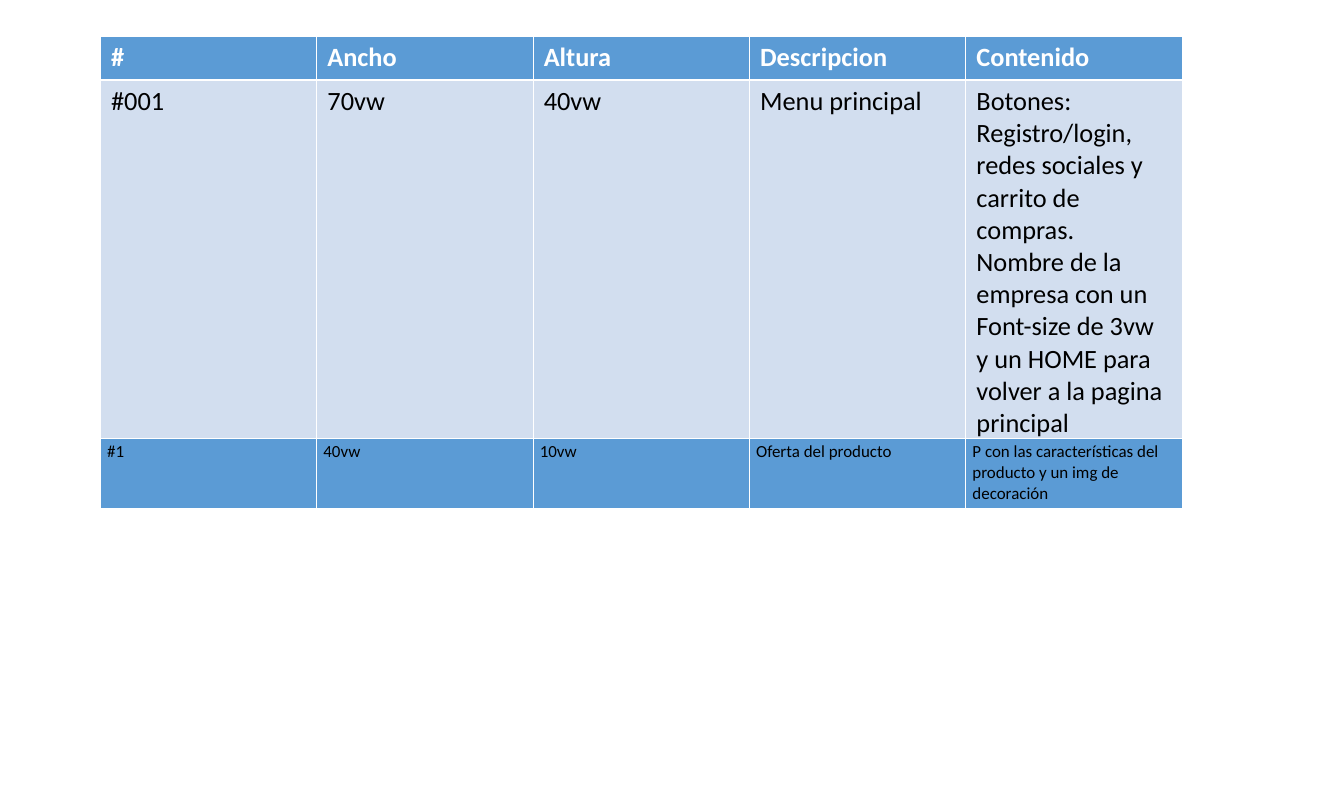
from lxml.etree import SubElement as Sub
from pptx import Presentation
from pptx.dml.color import RGBColor as Rgb
from pptx.oxml.ns import qn
from pptx.util import Pt

COLORS = {"blue": "5B9BD5", "pale": "D2DEEF", "white": "FFFFFF", "black": "000000"}
HEAD = ["#", "Ancho", "Altura", "Descripcion", "Contenido"]
MENU = [
    "#001", "70vw", "40vw", "Menu principal",
    "Botones: Registro/login, redes sociales y carrito de compras.\n"
    "Nombre de la empresa con un Font-size de 3vw y un HOME para volver a la pagina principal",
]
OFFER = [
    "#1", "40vw", "10vw", "Oferta del producto",
    "P con las características del producto y un img de decoración",
]


def write(frame, text, size=28, color="black", bold=False):
    """Put text in a frame, one paragraph per line."""
    frame.text = text
    for para in frame.paragraphs:
        for run in para.runs:
            font = run.font
            font.name, font.size, font.bold = "Calibri", Pt(size), bold
            font.color.rgb = Rgb.from_string(COLORS[color])


def edge(cell, top, bottom):
    """Draw white borders around a cell, widths in points."""
    props = cell._tc.get_or_add_tcPr()
    sides = {"L": 1, "R": 1, "T": top, "B": bottom}
    for spot, (side, width) in enumerate(sides.items()):
        line = Sub(props, qn(f"a:ln{side}"), w=str(Pt(width)))
        fill = Sub(line, qn("a:solidFill"))
        Sub(fill, qn("a:srgbClr"), val=COLORS["white"])
        props.insert(spot, line)


def fill_row(table, row, texts, fill, pad, top=1, bottom=1, **style):
    """Fill one table row with formatted cells."""
    for cell, text in zip(table.rows[row].cells, texts):
        cell.fill.solid()
        cell.fill.fore_color.rgb = Rgb.from_string(COLORS[fill])
        cell.margin_left = cell.margin_right = Pt(pad)
        cell.margin_top = cell.margin_bottom = Pt(pad / 2)
        edge(cell, top, bottom)
        write(cell.text_frame, text, **style)


def grid(slide, left, top, width, heights, head):
    """Add a table with equal columns and the given row heights."""
    shape = slide.shapes.add_table(
        len(heights), len(HEAD), Pt(left), Pt(top), Pt(width), Pt(sum(heights))
    )
    table = shape.table
    table.first_row, table.horz_banding = head, False
    for row, height in zip(table.rows, heights):
        row.height = Pt(height)
    return table


def menu_table(slide, left, top, width, height):
    """Place the heading row and the menu row."""
    head = 46.8
    table = grid(slide, left, top, width, [head, height - head], True)
    fill_row(table, 0, HEAD, "blue", 11.5, bottom=3, color="white", bold=True)
    fill_row(table, 1, MENU, "pale", 11.5, top=3)


def offer_table(slide, left, top, width, height):
    """Place the single row for the product offer."""
    table = grid(slide, left, top, width, [height], False)
    fill_row(table, 0, OFFER, "blue", 7.2, bottom=3, size=18)


def main():
    """Build the slide and save it."""
    deck = Presentation()
    deck.slide_width, deck.slide_height = Pt(1428.5), Pt(853.2)
    slide = deck.slides.add_slide(deck.slide_layouts[6])
    left, top, width, height = 106.6, 38.2, 1149.8, 427.6
    menu_table(slide, left, top, width, height)
    offer_table(slide, left, top + height, width, 74.9)
    deck.save("out.pptx")


if __name__ == "__main__":
    main()
